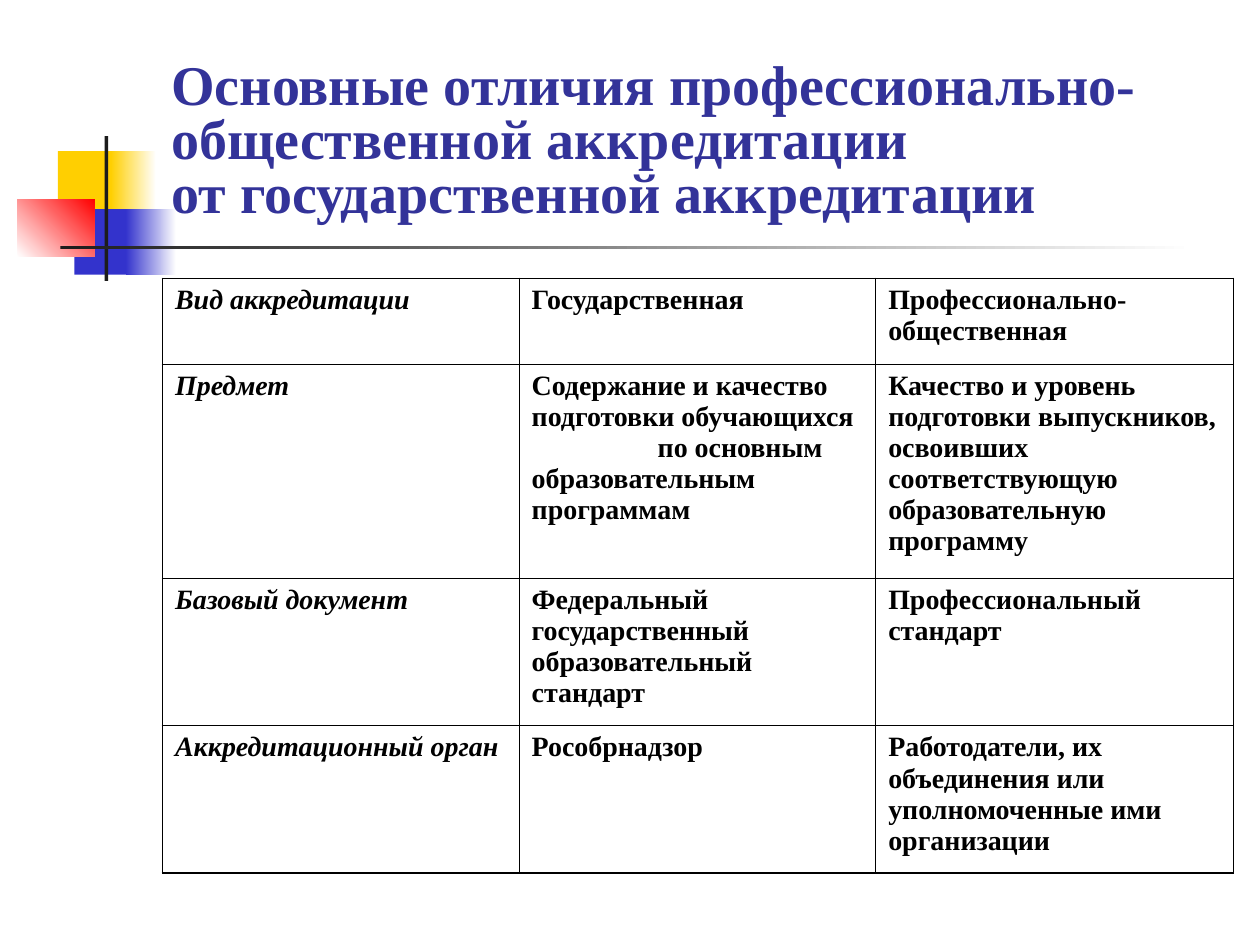
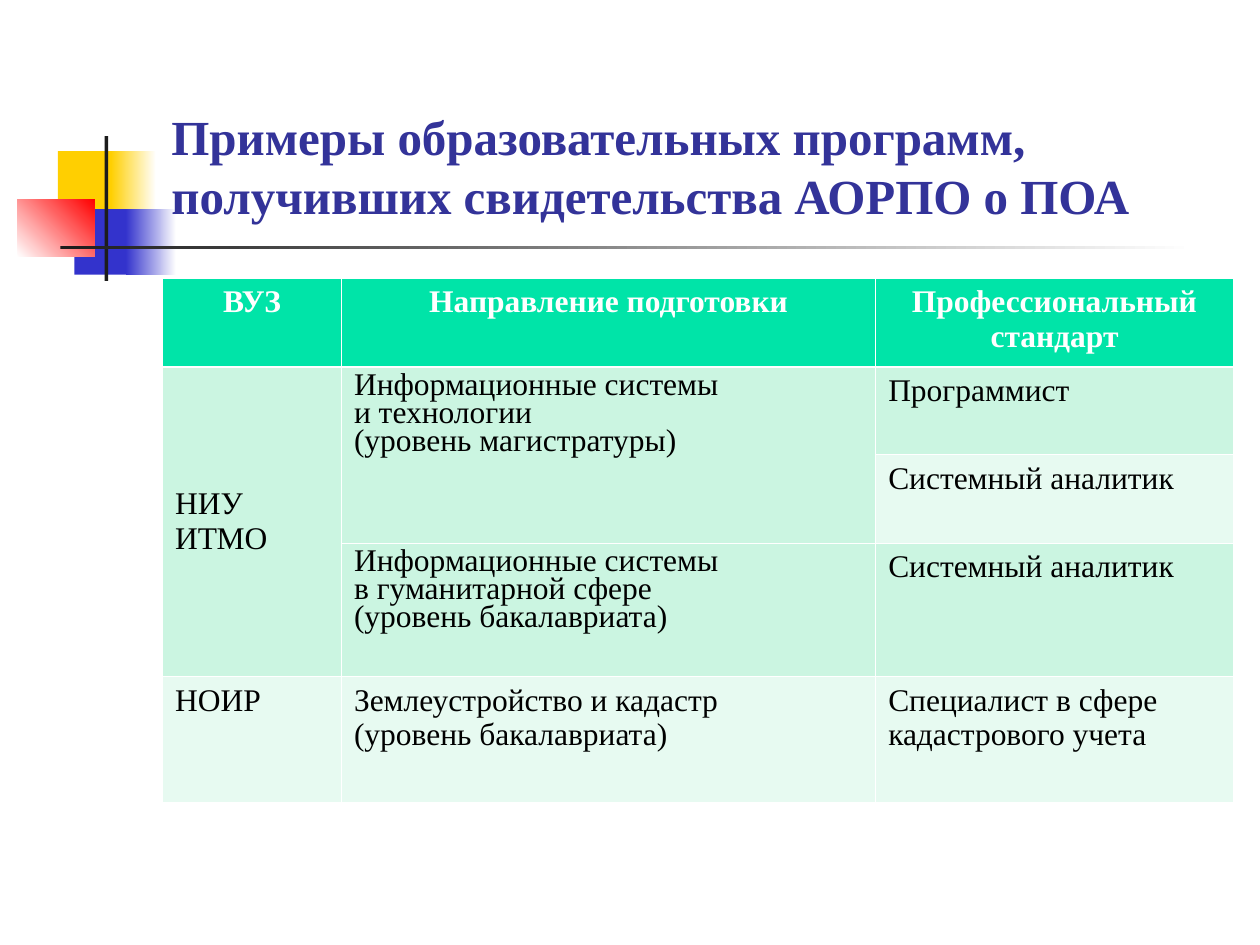
import pptx
import pptx.dml.color
import pptx.enum.shapes
import pptx.enum.text
import pptx.oxml
import pptx.oxml.ns
import pptx.util

EMU_PER_PX = 9144
FONT = "Times New Roman"
BLACK, WHITE, INK = "000000", "FFFFFF", "1C1C1C"
YELLOW, BLUE, RED, TITLE_BLUE = "FFCF01", "3333CC", "FF0000", "333399"
HEADER_GREEN, DARK_BAND, LIGHT_BAND = "00E4A8", "CBF5E1", "E7FAF1"
ALIGN = pptx.enum.text.PP_ALIGN
ANCHOR = pptx.enum.text.MSO_ANCHOR

EMBLEM = [
    ((46, 120, 48, 52), [YELLOW], 0),
    ((88, 120, 36, 52), [YELLOW, WHITE], 0),
    ((59, 166, 46, 52), [BLUE], 0),
    ((100, 166, 40, 52), [BLUE, WHITE], 0),
    ((14, 158, 61, 46), [WHITE, RED], 45),
    ((83, 108, 3, 115), [INK], 0),
    ((48, 195, 900, 3), [INK, WHITE], 0),
]

DIFFERENCES = [
    ["Вид аккредитации", "Государственная", "Профессионально-общественная"],
    ["Предмет",
     ["Содержание и качество подготовки обучающихся",
      "по основным образовательным программам"],
     "Качество и уровень подготовки выпускников, освоивших "
     "соответствующую образовательную программу"],
    ["Базовый документ", "Федеральный государственный образовательный стандарт",
     "Профессиональный стандарт"],
    ["Аккредитационный орган", "Рособрнадзор",
     "Работодатели, их объединения или уполномоченные ими организации"],
]

PROGRAMMES = [
    ["ВУЗ", "Направление подготовки", "Профессиональный стандарт"],
    ["НИУ ИТМО",
     ["Информационные системы", "и технологии", "(уровень магистратуры)"],
     "Программист"],
    [None, None, "Системный аналитик"],
    [None,
     ["Информационные системы", "в гуманитарной сфере", "(уровень бакалавриата)"],
     "Системный аналитик"],
    ["НОИР", ["Землеустройство и кадастр", "(уровень бакалавриата)"],
     "Специалист в сфере кадастрового учета"],
]


def px(length):
    return pptx.util.Emu(length * EMU_PER_PX)


def color(hex_code):
    return pptx.dml.color.RGBColor.from_string(hex_code)


def apply_format(target, formats):
    for attribute, value in formats.items():
        setattr(target, attribute, value)


def add_run(paragraph, text, size, ink, bold=False, italic=False):
    run = paragraph.add_run()
    run.text = text
    apply_format(run.font, {"name": FONT, "size": pptx.util.Pt(size),
                            "bold": bold, "italic": italic})
    run.font.color.rgb = color(ink)


def add_emblem_part(slide, place, tints, angle):
    part = slide.shapes.add_shape(pptx.enum.shapes.MSO_SHAPE.RECTANGLE, *map(px, place))
    part.shadow.inherit = False
    part.line.fill.background()
    if len(tints) == 1:
        part.fill.solid()
        part.fill.fore_color.rgb = color(tints[0])
    else:
        part.fill.gradient()
        part.fill.gradient_angle = angle
        for stop, tint in zip(part.fill.gradient_stops, tints):
            stop.color.rgb = color(tint)
    return part.element


def put_emblem_on_layout(slide):
    for number, (place, tints, angle) in enumerate(EMBLEM, start=20):
        part = add_emblem_part(slide, place, tints, angle)
        part.nvSpPr.cNvPr.set("id", str(number))
        slide.slide_layout.shapes.element.append(part)


def write_title(slide, lines, size, line_spacing=1.0):
    title = slide.shapes.title
    apply_format(title, {"left": px(126), "top": px(23), "width": px(852), "height": px(160)})
    apply_format(title.text_frame, {"word_wrap": True, "vertical_anchor": ANCHOR.BOTTOM,
                                    "auto_size": pptx.enum.text.MSO_AUTO_SIZE.NONE})
    heading = title.text_frame.paragraphs[0]
    apply_format(heading, {"alignment": ALIGN.LEFT, "line_spacing": line_spacing})
    for index, line in enumerate(lines):
        if index:
            heading.add_line_break()
        add_run(heading, line, size, TITLE_BLUE, bold=True)


def write_cell(cell, content, formats, **run_style):
    lines = [content] if isinstance(content, str) else content
    for index, line in enumerate(lines):
        if index:
            paragraph = cell.text_frame.add_paragraph()
        else:
            paragraph = cell.text_frame.paragraphs[0]
        apply_format(paragraph, formats)
        add_run(paragraph, line, **run_style)


def border_cell(cell, widths, ink):
    properties = cell._tc.get_or_add_tcPr()
    for side, width in zip("LRTB", widths):
        properties.append(pptx.oxml.parse_xml(
            f'<a:ln{side} {pptx.oxml.ns.nsdecls("a")} w="{pptx.util.Pt(width)}">'
            f'<a:solidFill><a:srgbClr val="{ink}"/></a:solidFill></a:ln{side}>'))


def add_grid(slide, columns, rows, ink, outer, inner, header_rule, fills=None):
    grid = slide.shapes.add_table(len(rows), len(columns), px(129), px(221),
                                  px(sum(columns)), px(sum(rows))).table
    apply_format(grid, {"first_row": False, "horz_banding": False})
    for column, width in zip(grid.columns, columns):
        column.width = px(width)
    last_row, last_column = len(rows) - 1, len(columns) - 1
    for r, height in enumerate(rows):
        grid.rows[r].height = px(height)
        above = {0: outer, 1: header_rule}.get(r, inner)
        below = {0: header_rule, last_row: outer}.get(r, inner)
        for c in range(len(columns)):
            cell = grid.cell(r, c)
            left = outer if c == 0 else inner
            right = outer if c == last_column else inner
            border_cell(cell, (left, right, above, below), ink)
            if fills:
                cell.fill.solid()
                cell.fill.fore_color.rgb = color(fills[r])
            else:
                cell.fill.background()
    return grid


def fill_differences(slide):
    grid = add_grid(slide, [283, 283, 284], [68, 170, 117, 117], BLACK,
                    outer=1.08, inner=0.45, header_rule=0.45)
    for r, row in enumerate(DIFFERENCES):
        for c, content in enumerate(row):
            write_cell(grid.cell(r, c), content, {},
                       size=16, ink=BLACK, bold=True, italic=c == 0)
    continuation = grid.cell(1, 1).text_frame.paragraphs[1]
    continuation._p.get_or_add_pPr().set("indent", str(px(100)))


def fill_programmes(slide):
    bands = [HEADER_GREEN] + [DARK_BAND, LIGHT_BAND] * 2
    grid = add_grid(slide, [142, 424, 284], [70, 70, 70, 106, 100], WHITE,
                    outer=0.45, inner=0.45, header_rule=1.47, fills=bands)
    grid.cell(1, 0).merge(grid.cell(3, 0))
    grid.cell(1, 1).merge(grid.cell(2, 1))
    grid.cell(1, 0).vertical_anchor = ANCHOR.MIDDLE
    for r, row in enumerate(PROGRAMMES):
        header = r == 0
        for c, content in enumerate(row):
            if content is None:
                continue
            tight = isinstance(content, list) and len(content) == 3
            formats = {"alignment": ALIGN.CENTER if header else ALIGN.LEFT,
                       "line_spacing": 0.8 if tight else 1.0}
            write_cell(grid.cell(r, c), content, formats,
                       size=18, ink=WHITE if header else BLACK, bold=header)


def main():
    deck = pptx.Presentation()
    apply_format(deck, {"slide_width": px(1000), "slide_height": px(750)})
    title_only = deck.slide_layouts[5]

    differences = deck.slides.add_slide(title_only)
    put_emblem_on_layout(differences)
    write_title(differences,
                ["Основные отличия профессионально-общественной аккредитации ",
                 "от государственной аккредитации"], 32, 0.8)
    fill_differences(differences)

    programmes = deck.slides.add_slide(title_only)
    write_title(programmes,
                ["Примеры образовательных программ, получивших свидетельства АОРПО о ПОА"], 28)
    fill_programmes(programmes)

    deck.save("out.pptx")


if __name__ == "__main__":
    main()
